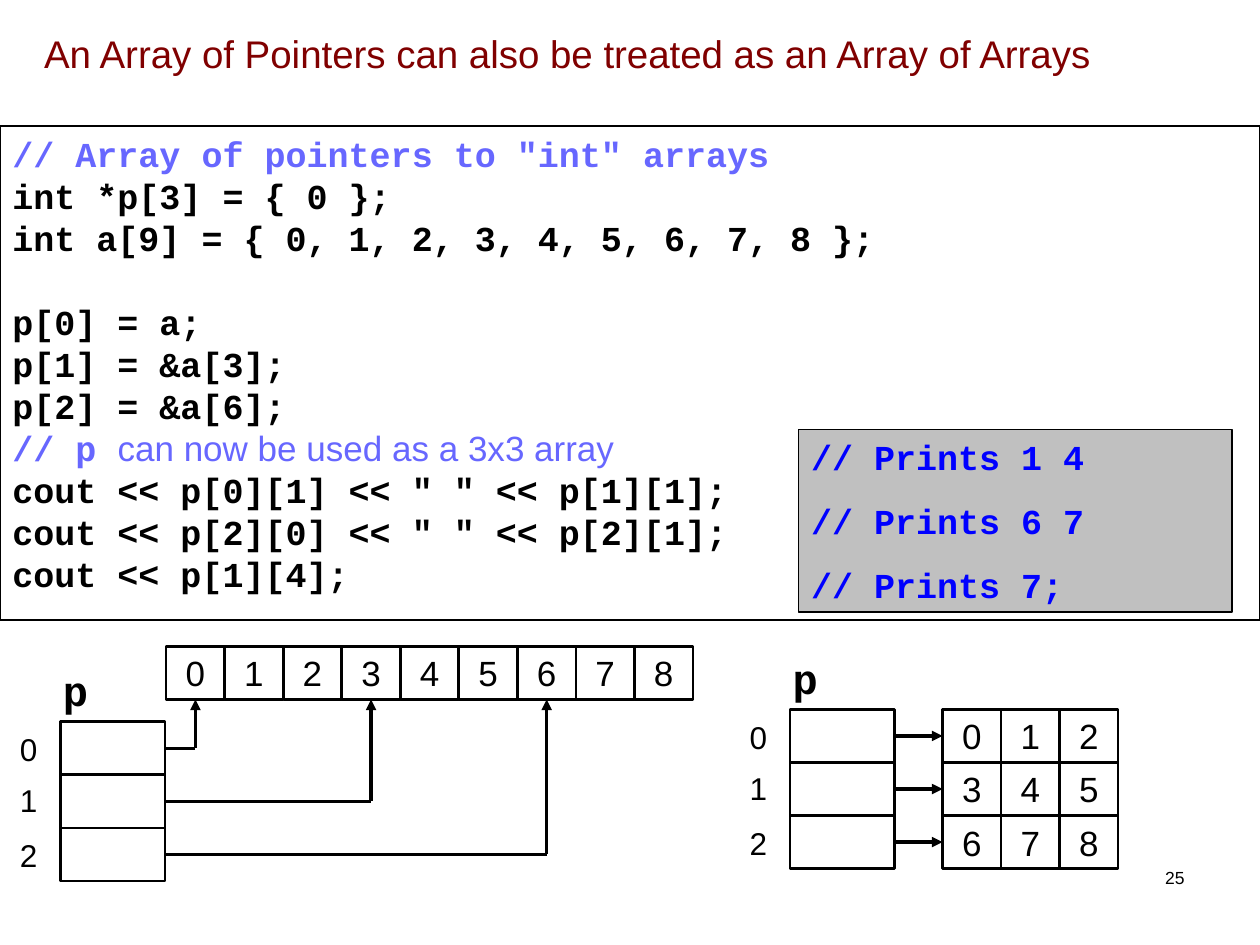
from lxml import etree
from pptx import Presentation
from pptx.dml.color import RGBColor
from pptx.enum.shapes import MSO_CONNECTOR, MSO_SHAPE
from pptx.enum.text import MSO_ANCHOR, PP_ALIGN
from pptx.oxml.ns import qn
from pptx.util import Cm, Pt

RECTANGLE = MSO_SHAPE.RECTANGLE
STRAIGHT = MSO_CONNECTOR.STRAIGHT
LEFT, CENTER, RIGHT = PP_ALIGN.LEFT, PP_ALIGN.CENTER, PP_ALIGN.RIGHT
TOP, MIDDLE = MSO_ANCHOR.TOP, MSO_ANCHOR.MIDDLE
LEFT_SIDE, BOTTOM_SIDE, RIGHT_SIDE = 1, 2, 3
BODY, MONO = "Arial", "Courier New"
COLORS = {
    "ink": "000000",
    "paper": "FFFFFF",
    "title": "800000",
    "comment": "6767FF",
    "output": "0000FF",
    "output_fill": "C0C0C0",
}

prs = Presentation()
prs.slide_width, prs.slide_height = Cm(25.4), Cm(19.05)
slide = prs.slides.add_slide(prs.slide_layouts[6])


def write(lines, left, top, width, height, *, size=20, font=BODY, bold=False,
          color="ink", align=LEFT, anchor=TOP, wrap=True, gap=0,
          border=None, fill=None):
    """Add a text box, or a rectangle if border (in points) is given.

    Each line is a list of (text, format) runs; gap is the space between lines.
    A format may hold font, bold, color, and before (space above the line).
    """
    area = Cm(left), Cm(top), Cm(width), Cm(height)
    if border:
        shape = slide.shapes.add_shape(RECTANGLE, *area)
        shape.shadow.inherit = False
        shape.line.width = Pt(border)
        shape.line.color.rgb = RGBColor.from_string(COLORS["ink"])
        if fill:
            shape.fill.solid()
            shape.fill.fore_color.rgb = RGBColor.from_string(COLORS[fill])
        else:
            shape.fill.background()
    else:
        shape = slide.shapes.add_textbox(*area)
    frame = shape.text_frame
    frame.word_wrap = wrap
    frame.vertical_anchor = anchor
    for number, runs in enumerate(lines):
        paragraph = frame.add_paragraph() if number else frame.paragraphs[0]
        paragraph.alignment = align
        paragraph.space_before = Pt(runs[0][1].get("before", gap))
        for text, style in runs:
            run = paragraph.add_run()
            run.text = text
            run.font.size = Pt(size)
            run.font.name = style.get("font", font)
            run.font.bold = style.get("bold", bold)
            run.font.color.rgb = RGBColor.from_string(
                COLORS[style.get("color", color)])
    return shape


def connect(x1, y1, x2, y2, source=None, target=None, target_side=LEFT_SIDE):
    """Draw a line out of source's right side; with a target it gets an arrowhead."""
    line = slide.shapes.add_connector(STRAIGHT, Cm(x1), Cm(y1), Cm(x2), Cm(y2))
    line.line.width = Pt(2)
    line.line.color.rgb = RGBColor.from_string(COLORS["ink"])
    if source:
        line.begin_connect(source, RIGHT_SIDE)
    if target:
        line.end_connect(target, target_side)
        etree.SubElement(line.line._get_or_add_ln(), qn("a:tailEnd"), type="triangle")
    etree.SubElement(line._element.spPr, qn("a:effectLst"))


# Title
write([[("An Array of Pointers can also be treated as an Array of Arrays", {})]],
      0.64, 0.46, 24.51, 1.24, size=22, color="title", anchor=MIDDLE)

# Code listing and its output
comment = {"color": "comment"}
code = [
    [('// Array of pointers to "int" arrays', comment)],
    [("int *p[3] = { 0 };", {})],
    [("int a[9] = { 0, 1, 2, 3, 4, 5, 6, 7, 8 };", {})],
    [("p[0] = a;", {"before": 24})],
    [("p[1] = &a[3];", {})],
    [("p[2] = &a[6];", {})],
    [("// p ", comment),
     ("can now be used as a 3x3 array", {**comment, "font": BODY, "bold": False})],
    [('cout << p[0][1] << " " << p[1][1];', {})],
    [('cout << p[2][0] << " " << p[2][1];', {})],
    [("cout << p[1][4];", {})],
]
write(code, 0, 2.54, 25.4, 9.96, font=MONO, bold=True, border=0.75, fill="paper")

output = [[(f"// Prints {printed}", {})] for printed in ("1 4", "6 7", "7;")]
write(output, 16.1, 8.66, 8.74, 3.68, font=MONO, bold=True, color="output",
      gap=12.5, border=0.75, fill="output_fill")

# Two pictures of the pointer array p
CELL_W, CELL_H, POINTER_W = 1.18, 1.07, 2.11
P_FLAT = 1.22, 14.55
P_NESTED = 15.93, 14.3
pointers = {}
for left, top in (P_FLAT, P_NESTED):
    write([[("p", {})]], left - 0.2, top - 1.27, 1.02, 1.27,
          size=24, font=MONO, bold=True, wrap=False)
    pointers[left, top] = [
        write([], left, top + row * CELL_H, POINTER_W, CELL_H, border=1.5)
        for row in range(3)]
    for index, offset in enumerate((0.05, 1.07, 2.18)):
        write([[(str(index), {})]], left - 1.07, top + offset, 0.86, 1.02,
              size=18, wrap=False)

# The values of a: one row of nine, and three rows of three
A_FLAT = 3.35, 13.03, 9
A_NESTED = 19, P_NESTED[1], 3
flat_cells, nested_cells = [
    [write([[(str(value), {})]],
           left + value % columns * CELL_W, top + value // columns * CELL_H,
           CELL_W, CELL_H, align=CENTER, anchor=MIDDLE, border=1.5)
     for value in range(9)]
    for left, top, columns in (A_FLAT, A_NESTED)]

# Each pointer leads to every third value
for row in range(3):
    first = 3 * row
    middle = (row + 0.5) * CELL_H
    bend_x = A_FLAT[0] + (first + 0.5) * CELL_W
    bend_y = P_FLAT[1] + middle
    connect(P_FLAT[0] + POINTER_W, bend_y, bend_x, bend_y,
            source=pointers[P_FLAT][row])
    connect(bend_x, bend_y, bend_x, A_FLAT[1] + CELL_H,
            target=flat_cells[first], target_side=BOTTOM_SIDE)
    nested_y = P_NESTED[1] + middle
    connect(P_NESTED[0] + POINTER_W, nested_y, A_NESTED[0], nested_y,
            source=pointers[P_NESTED][row], target=nested_cells[first])

# Page number
write([[("25", {})]], 18.21, 17.35, 5.92, 1.27, size=10, align=RIGHT)

prs.save("out.pptx")
